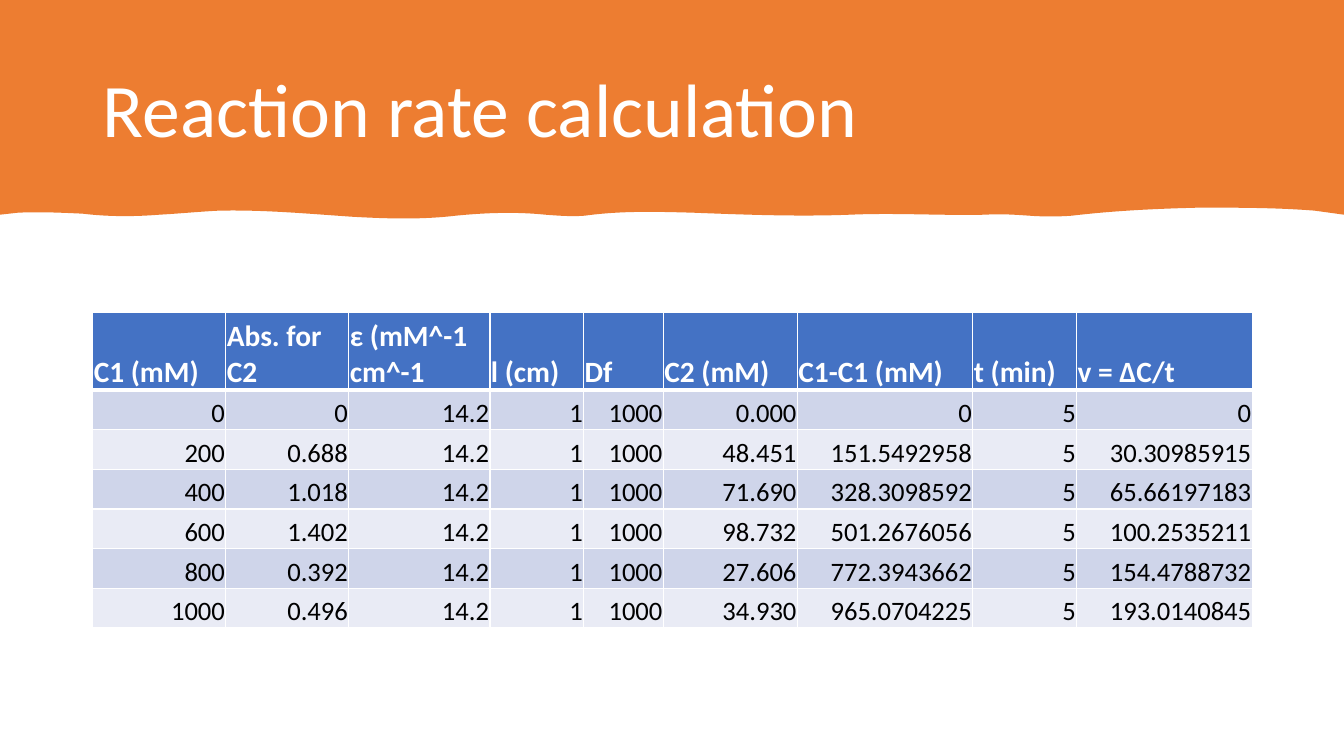
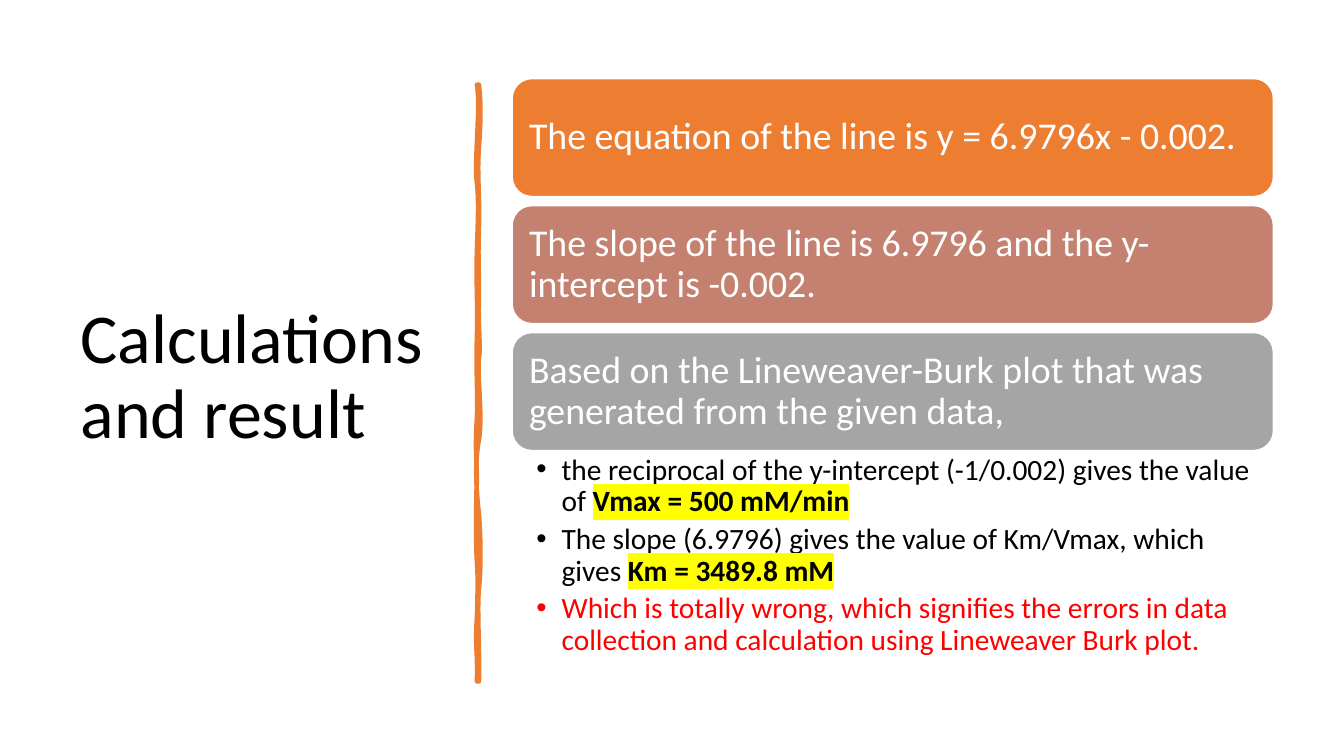
from dataclasses import dataclass

from lxml.etree import SubElement
from pptx import Presentation
from pptx.dml.color import RGBColor
from pptx.enum.shapes import MSO_SHAPE
from pptx.enum.text import MSO_ANCHOR, MSO_AUTO_SIZE, PP_ALIGN
from pptx.oxml.ns import qn
from pptx.util import Inches, Pt


@dataclass(frozen=True)
class Theme:
    font: str = "Calibri"
    accent: str = "ED7D31"
    rose: str = "C48170"
    grey: str = "A5A5A5"
    header: str = "4472C4"
    row_dark: str = "CFD5EA"
    row_light: str = "E9EBF5"
    white: str = "FFFFFF"
    black: str = "000000"
    warning: str = "FF0000"
    highlight: str = "FFFF00"
    band_title_size: float = 54
    side_title_size: float = 50
    card_size: float = 27
    list_size: float = 21
    header_size: float = 21
    cell_size: float = 19
    line_spacing: float = 0.9


THEME = Theme()

# Outlines: a start point, then (x, y) line ends or cubic curves of three points.
BAND_OUTLINE = [
    (0, 0), (13.33, 0), (13.33, 2.13), (13.04, 2.09),
    (12.66, 2.06, 12.28, 2.06, 11.9, 2.06), (11.48, 2.07, 11.05, 2.09, 10.63, 2.14),
    (10.49, 2.15, 10.35, 2.15, 10.21, 2.14), (10.07, 2.13, 9.92, 2.12, 9.77, 2.13),
    (9.33, 2.14, 8.88, 2.11, 8.43, 2.13), (7.91, 2.15, 7.39, 2.13, 6.87, 2.11),
    (6.51, 2.1, 6.16, 2.09, 5.8, 2.14), (5.67, 2.15, 5.54, 2.14, 5.41, 2.13),
    (5.12, 2.1, 4.82, 2.11, 4.52, 2.14), (4.18, 2.18, 3.84, 2.17, 3.49, 2.15),
    (3.05, 2.12, 2.61, 2.08, 2.17, 2.09), (1.97, 2.1, 1.77, 2.12, 1.58, 2.13),
    (1.33, 2.15, 1.07, 2.15, 0.82, 2.12), (0.61, 2.11, 0.4, 2.1, 0.18, 2.11),
    (0, 2.13),
]
DIVIDER_OUTLINE = [
    (4.75, 0.84),
    (4.77, 1.02, 4.77, 1.19, 4.75, 1.46), (4.73, 1.73, 4.76, 1.95, 4.75, 2.26),
    (4.74, 2.57, 4.75, 2.62, 4.75, 2.94), (4.74, 3.25, 4.77, 3.42, 4.75, 3.56),
    (4.73, 3.7, 4.79, 4.14, 4.75, 4.36), (4.71, 4.57, 4.72, 4.84, 4.75, 5.1),
    (4.77, 5.36, 4.77, 5.64, 4.75, 5.84), (4.73, 6.03, 4.76, 6.5, 4.75, 6.76),
    (4.73, 6.76),
    (4.74, 6.46, 4.71, 6.44, 4.73, 6.13), (4.74, 5.83, 4.74, 5.7, 4.73, 5.57),
    (4.72, 5.44, 4.72, 4.95, 4.73, 4.77), (4.73, 4.59, 4.71, 4.45, 4.73, 4.15),
    (4.74, 3.86, 4.72, 3.73, 4.73, 3.35), (4.74, 2.98, 4.72, 2.81, 4.73, 2.5),
    (4.74, 2.18, 4.75, 2, 4.73, 1.81), (4.7, 1.63, 4.77, 1.04, 4.73, 0.84),
]

RATE_HEADERS = ["C1 (mM)", "Abs. for C2", "ε (mM^-1 cm^-1", "l (cm)", "Df",
                "C2 (mM)", "C1-C1 (mM)", "t (min)", "v = ΔC/t"]
RATE_COLUMNS = [1.32, 1.22, 1.4, 0.93, 0.79, 1.33, 1.74, 1.03, 1.74]
TABLE_HEIGHT, HEADER_HEIGHT = 3.13, 0.77
EPSILON, PATH_LENGTH, DILUTION, MINUTES = "14.2", "1", "1000", "5"
# C1, absorbance, C2, difference, rate
MEASUREMENTS = [
    ("0", "0", "0.000", "0", "0"),
    ("200", "0.688", "48.451", "151.5492958", "30.30985915"),
    ("400", "1.018", "71.690", "328.3098592", "65.66197183"),
    ("600", "1.402", "98.732", "501.2676056", "100.2535211"),
    ("800", "0.392", "27.606", "772.3943662", "154.4788732"),
    ("1000", "0.496", "34.930", "965.0704225", "193.0140845"),
]

CARDS = [
    ("The equation of the line is y = 6.9796x - 0.002.", THEME.accent),
    ("The slope of the line is 6.9796 and the y-intercept is -0.002.", THEME.rose),
    ("Based on the Lineweaver-Burk plot that was generated from the given data,",
     THEME.grey),
]
# Plain text, highlighted ending, colour
FINDINGS = [
    ("the reciprocal of the y-intercept (-1/0.002) gives the value of ",
     "Vmax = 500 mM/min", THEME.black),
    ("The slope (6.9796) gives the value of Km/Vmax, which gives ",
     "Km = 3489.8 mM", THEME.black),
    ("Which is totally wrong, which signifies the errors in data collection and "
     "calculation using Lineweaver Burk plot.", "", THEME.warning),
]


def rgb(color):
    return RGBColor.from_string(color)


def style_run(run, size, color, bold=False):
    run.font.name = THEME.font
    run.font.size = Pt(size)
    run.font.color.rgb = rgb(color)
    run.font.bold = bold


def set_line_text(text_frame, text, size, color, align=PP_ALIGN.LEFT, bold=False):
    text_frame.text = text
    paragraph = text_frame.paragraphs[0]
    paragraph.alignment = align
    style_run(paragraph.runs[0], size, color, bold)
    return paragraph


def highlight_run(run):
    fill = run.font._element.find(qn("a:solidFill"))
    marker = fill.makeelement(qn("a:highlight"), {})
    SubElement(marker, qn("a:srgbClr"), val=THEME.highlight)
    fill.addnext(marker)


def place(shape, left, top, width, height):
    shape.left, shape.top = Inches(left), Inches(top)
    shape.width, shape.height = Inches(width), Inches(height)


def set_title(slide, text, box, size, color):
    title = slide.shapes.title
    place(title, *box)
    paragraph = set_line_text(title.text_frame, text, size, color)
    paragraph.line_spacing = THEME.line_spacing
    title.text_frame.vertical_anchor = MSO_ANCHOR.MIDDLE
    title.text_frame.auto_size = MSO_AUTO_SIZE.NONE


def bend_segments(wave, outline):
    """Replace the straight segments by the cubic curves the outline asks for."""
    segments = list(wave._element.iter(qn("a:lnTo")))
    for segment, part in zip(segments, outline[1:]):
        if len(part) == 2:
            continue
        curve = segment.makeelement(qn("a:cubicBezTo"), {})
        for x, y in zip(part[::2], part[1::2]):
            SubElement(curve, qn("a:pt"), x=str(Inches(x) - wave.left),
                       y=str(Inches(y) - wave.top))
        segment.getparent().replace(segment, curve)


def add_outline(slide, outline, line_width=None):
    """Draw an accent-coloured outline behind everything else on the slide."""
    ends = [(Inches(part[-2]), Inches(part[-1])) for part in outline]
    builder = slide.shapes.build_freeform(*ends[0])
    builder.add_line_segments(ends[1:], close=True)
    wave = builder.convert_to_shape()
    bend_segments(wave, outline)
    wave.shadow.inherit = False
    wave.fill.solid()
    wave.fill.fore_color.rgb = rgb(THEME.accent)
    if line_width:
        wave.line.color.rgb = rgb(THEME.accent)
        wave.line.width = Pt(line_width)
    else:
        wave.line.fill.background()
    slide.shapes._spTree.insert(2, wave._element)


def set_borders(cell, bottom_width):
    properties = cell._tc.get_or_add_tcPr()
    widths = {"lnL": 1, "lnR": 1, "lnT": 1, "lnB": bottom_width}
    for position, (side, width) in enumerate(widths.items()):
        border = properties.makeelement(qn(f"a:{side}"), {"w": str(Pt(width))})
        fill = SubElement(border, qn("a:solidFill"))
        SubElement(fill, qn("a:srgbClr"), val=THEME.white)
        properties.insert(position, border)


def fill_cell(cell, text, is_header, fill):
    cell.margin_left = cell.margin_right = cell.margin_top = Inches(0.01)
    cell.margin_bottom = 0
    cell.vertical_anchor = MSO_ANCHOR.BOTTOM
    cell.fill.solid()
    cell.fill.fore_color.rgb = rgb(fill)
    if is_header:
        set_line_text(cell.text_frame, text, THEME.header_size, THEME.white, bold=True)
    else:
        set_line_text(cell.text_frame, text, THEME.cell_size, THEME.black, PP_ALIGN.RIGHT)
    set_borders(cell, 3 if is_header else 1)


def add_rate_table(slide):
    rows = [RATE_HEADERS] + [
        [c1, absorbance, EPSILON, PATH_LENGTH, DILUTION, c2, difference, MINUTES, rate]
        for c1, absorbance, c2, difference, rate in MEASUREMENTS
    ]
    table = slide.shapes.add_table(
        len(rows), len(RATE_COLUMNS),
        Inches(0.92), Inches(3.1), Inches(11.5), Inches(TABLE_HEIGHT)).table
    for column, width in zip(table.columns, RATE_COLUMNS):
        column.width = Inches(width)
    data_height = (TABLE_HEIGHT - HEADER_HEIGHT) / len(MEASUREMENTS)
    for r, values in enumerate(rows):
        is_header = r == 0
        table.rows[r].height = Inches(HEADER_HEIGHT if is_header else data_height)
        stripe = THEME.row_dark if r % 2 else THEME.row_light
        for c, text in enumerate(values):
            fill_cell(table.cell(r, c), text, is_header,
                      THEME.header if is_header else stripe)


def add_card(slide, text, color, top):
    card = slide.shapes.add_shape(MSO_SHAPE.ROUNDED_RECTANGLE, Inches(5.08),
                                  Inches(top), Inches(7.55), Inches(1.17))
    card.shadow.inherit = False
    card.fill.solid()
    card.fill.fore_color.rgb = rgb(color)
    card.line.color.rgb = rgb(THEME.white)
    card.line.width = Pt(1)
    frame = card.text_frame
    frame.word_wrap = True
    frame.vertical_anchor = MSO_ANCHOR.MIDDLE
    frame.margin_left = frame.margin_right = Inches(0.11)
    frame.margin_top = frame.margin_bottom = Inches(0.11)
    paragraph = set_line_text(frame, text, THEME.card_size, THEME.white)
    paragraph.line_spacing = THEME.line_spacing


def set_bullet(paragraph):
    properties = paragraph._p.get_or_add_pPr()
    properties.set("marL", str(Inches(0.25)))
    properties.set("indent", str(Inches(-0.25)))
    SubElement(properties, qn("a:buChar"), char="•")


def fill_findings(body):
    place(body, 5.08, 4.47, 7.55, 2.2)
    frame = body.text_frame
    frame.auto_size = MSO_AUTO_SIZE.NONE
    frame.vertical_anchor = MSO_ANCHOR.TOP
    frame.margin_left, frame.margin_right = Inches(0.24), Inches(0.21)
    frame.margin_top = frame.margin_bottom = Inches(0.04)
    frame.text = "\n".join(text for text, _, _ in FINDINGS)
    for paragraph, (_, result, color) in zip(frame.paragraphs, FINDINGS):
        paragraph.level = 1
        paragraph.line_spacing = THEME.line_spacing
        paragraph.space_before = Pt(0)
        paragraph.space_after = Pt(4.2)
        set_bullet(paragraph)
        style_run(paragraph.runs[0], THEME.list_size, color)
        if result:
            result_run = paragraph.add_run()
            result_run.text = result
            style_run(result_run, THEME.list_size, color, bold=True)
            highlight_run(result_run)


def build_rate_slide(deck):
    slide = deck.slides.add_slide(deck.slide_layouts.get_by_name("Title Only"))
    set_title(slide, "Reaction rate calculation", (0.92, 0.4, 11.5, 1.45),
              THEME.band_title_size, THEME.white)
    add_outline(slide, BAND_OUTLINE)
    add_rate_table(slide)


def build_result_slide(deck):
    slide = deck.slides.add_slide(deck.slide_layouts.get_by_name("Title and Content"))
    set_title(slide, "Calculations and result", (0.7, 0.7, 3.73, 6.11),
              THEME.side_title_size, THEME.black)
    add_outline(slide, DIVIDER_OUTLINE, line_width=3.25)
    for position, (text, color) in enumerate(CARDS):
        add_card(slide, text, color, top=0.78 + 1.26 * position)
    fill_findings(slide.placeholders[1])


def main():
    deck = Presentation()
    deck.slide_width, deck.slide_height = Inches(13.33), Inches(7.5)
    build_rate_slide(deck)
    build_result_slide(deck)
    deck.save("out.pptx")


if __name__ == "__main__":
    main()
